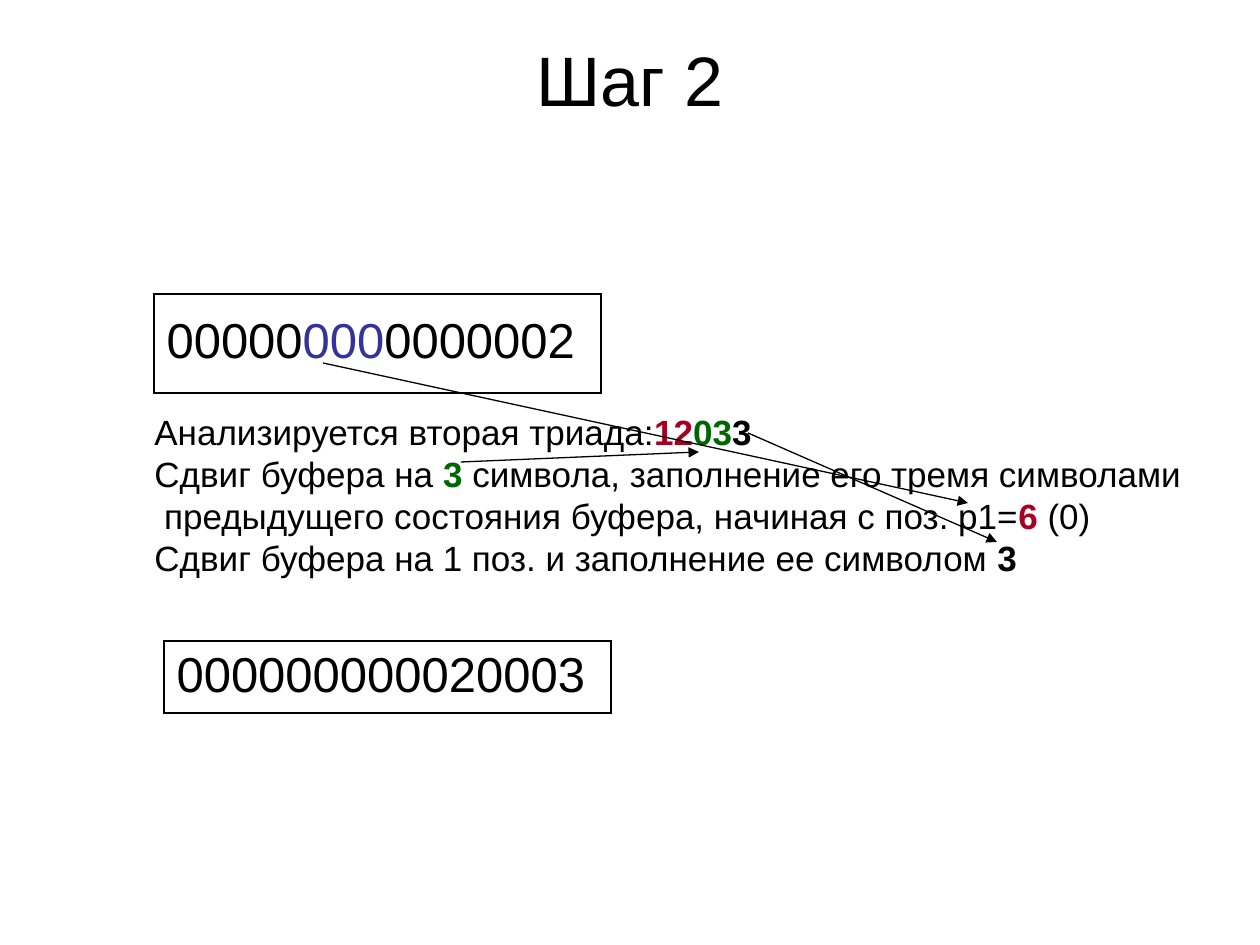
from lxml import etree
from pptx import Presentation
from pptx.dml.color import RGBColor
from pptx.enum.shapes import MSO_CONNECTOR
from pptx.enum.text import MSO_ANCHOR, PP_ALIGN
from pptx.oxml.ns import qn
from pptx.util import Emu, Pt

BLACK = RGBColor(0x00, 0x00, 0x00)
BLUE = RGBColor(0x33, 0x33, 0x99)
RED = RGBColor(0xA5, 0x00, 0x21)
GREEN = RGBColor(0x00, 0x66, 0x00)
TOP, MIDDLE = MSO_ANCHOR.TOP, MSO_ANCHOR.MIDDLE
LEFT, CENTER = PP_ALIGN.LEFT, PP_ALIGN.CENTER
STRAIGHT = MSO_CONNECTOR.STRAIGHT
FONT = "Arial"
PX = 914400 // 126

# Each paragraph is a list of runs: (text, colour, bold)
TITLE = [[("Шаг 2", BLACK, False)]]
STEPS = [
    [("Анализируется вторая триада:", BLACK, False), ("12", RED, True),
     ("03", GREEN, True), ("3", BLACK, True)],
    [("Сдвиг буфера на ", BLACK, False), ("3", GREEN, True),
     (" символа, заполнение его тремя символами", BLACK, False)],
    [(" предыдущего состояния буфера, начиная с поз. р1=", BLACK, False),
     ("6", RED, True), (" (0)", BLACK, False)],
    [("Сдвиг буфера на 1 поз. и заполнение ее символом ", BLACK, False),
     ("3", BLACK, True)],
]
# Buffers: left, top, width, height, paragraphs
BUFFERS = [
    (154, 294, 447, 99, [[("00000", BLACK, False), ("000", BLUE, False),
                          ("0000002", BLACK, False)]]),
    (164, 641, 447, 72, [[("000000000020003", BLACK, False)]]),
]
# Arrows: from x, from y, to x, to y
ARROWS = [(323, 363, 968, 503), (461, 462, 699, 452), (748, 433, 997, 542)]


def px(*values):
    """Turn pixels into EMU."""
    return [Emu(v * PX) for v in values]


def write(tf, paragraphs, size, align=LEFT, spacing=None, before=0):
    """Fill a text frame with formatted paragraphs."""
    for i, runs in enumerate(paragraphs):
        p = tf.paragraphs[0] if i == 0 else tf.add_paragraph()
        p.alignment, p.line_spacing, p.space_before = align, spacing, Pt(before)
        for text, color, bold in runs:
            r = p.add_run()
            r.text = text
            r.font.name, r.font.size, r.font.bold = FONT, Pt(size), bold
            r.font.color.rgb = color


def add_text(slide, box, paragraphs, size, wrap=True, inset=6, **fmt):
    """Add a text box with its text at the top."""
    tf = slide.shapes.add_textbox(*px(*box)).text_frame
    tf.word_wrap, tf.vertical_anchor = wrap, TOP
    tf.margin_top = Emu(inset * PX)
    write(tf, paragraphs, size, **fmt)


def add_buffer(slide, left, top, width, height, paragraphs):
    """Add a one-cell bordered table showing the buffer."""
    table = slide.shapes.add_table(1, 1, *px(left, top, width, height)).table
    table.first_row = table.horz_banding = False
    cell = table.cell(0, 0)
    cell.vertical_anchor = MIDDLE
    write(cell.text_frame, paragraphs, 28, spacing=0.93, before=7)
    tc_pr = cell._tc.get_or_add_tcPr()
    for side in ("a:lnL", "a:lnR", "a:lnT", "a:lnB"):
        ln = etree.SubElement(tc_pr, qn(side), w=str(Pt(1.08)))
        fill = etree.SubElement(ln, qn("a:solidFill"))
        etree.SubElement(fill, qn("a:srgbClr"), val=str(BLACK))
    cell.fill.background()


def add_arrow(slide, *ends):
    """Add a thin straight arrow."""
    sp = slide.shapes.add_connector(STRAIGHT, *px(*ends))
    sp.line.color.rgb = BLACK
    sp.line.width = Pt(0.74)
    etree.SubElement(sp.line._get_or_add_ln(), qn("a:tailEnd"), type="triangle")
    etree.SubElement(sp._element.spPr, qn("a:effectLst"))


def main():
    """Build and save the slide."""
    prs = Presentation()
    prs.slide_width, prs.slide_height = px(1260, 945)
    slide = prs.slides.add_slide(prs.slide_layouts[6])
    add_text(slide, (63, 26, 1134, 180), TITLE, 40, inset=10, align=CENTER)
    add_text(slide, (142, 404, 1057, 181), STEPS, 20, wrap=False)
    for buffer in BUFFERS:
        add_buffer(slide, *buffer)
    for arrow in ARROWS:
        add_arrow(slide, *arrow)
    prs.save("out.pptx")


main()
